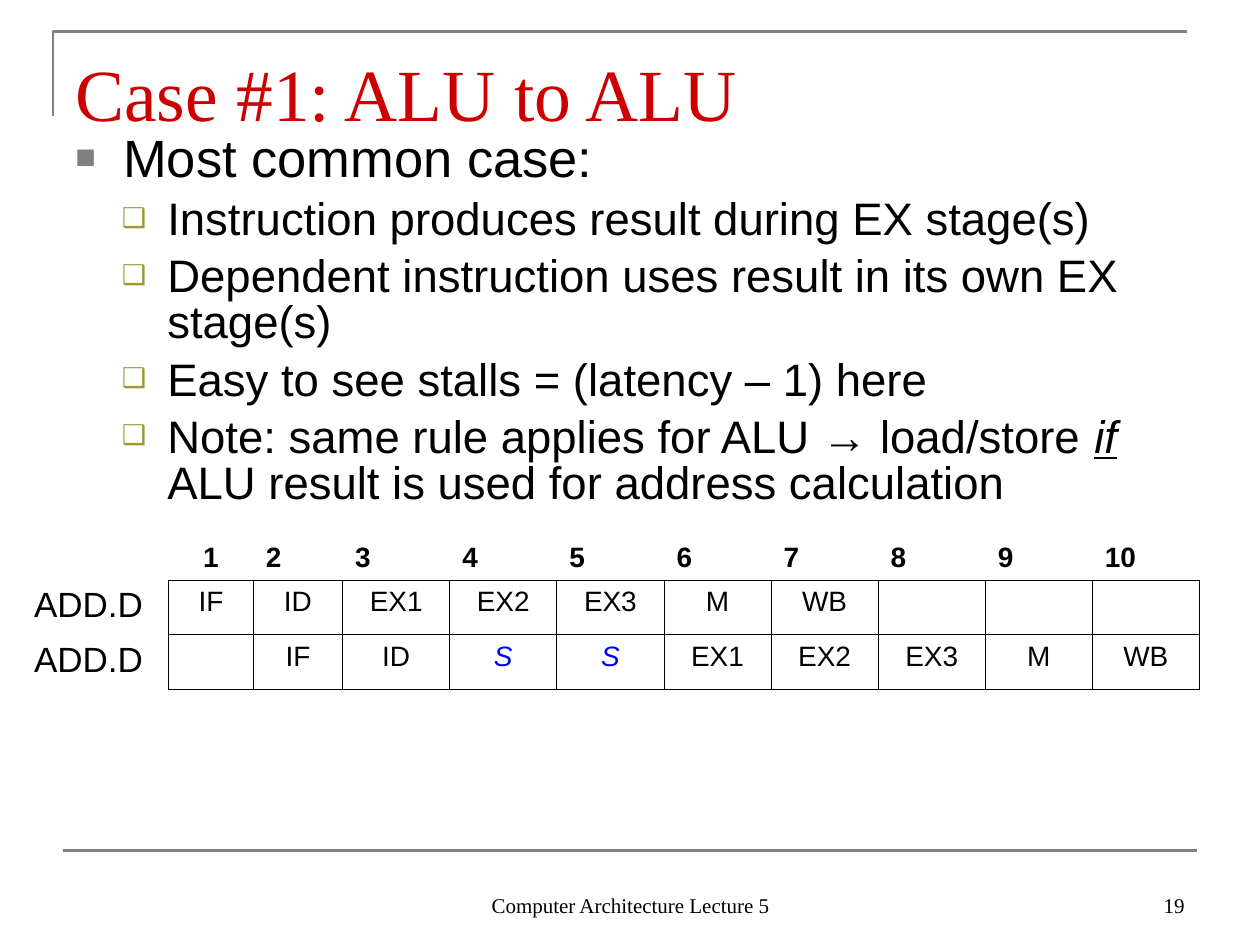
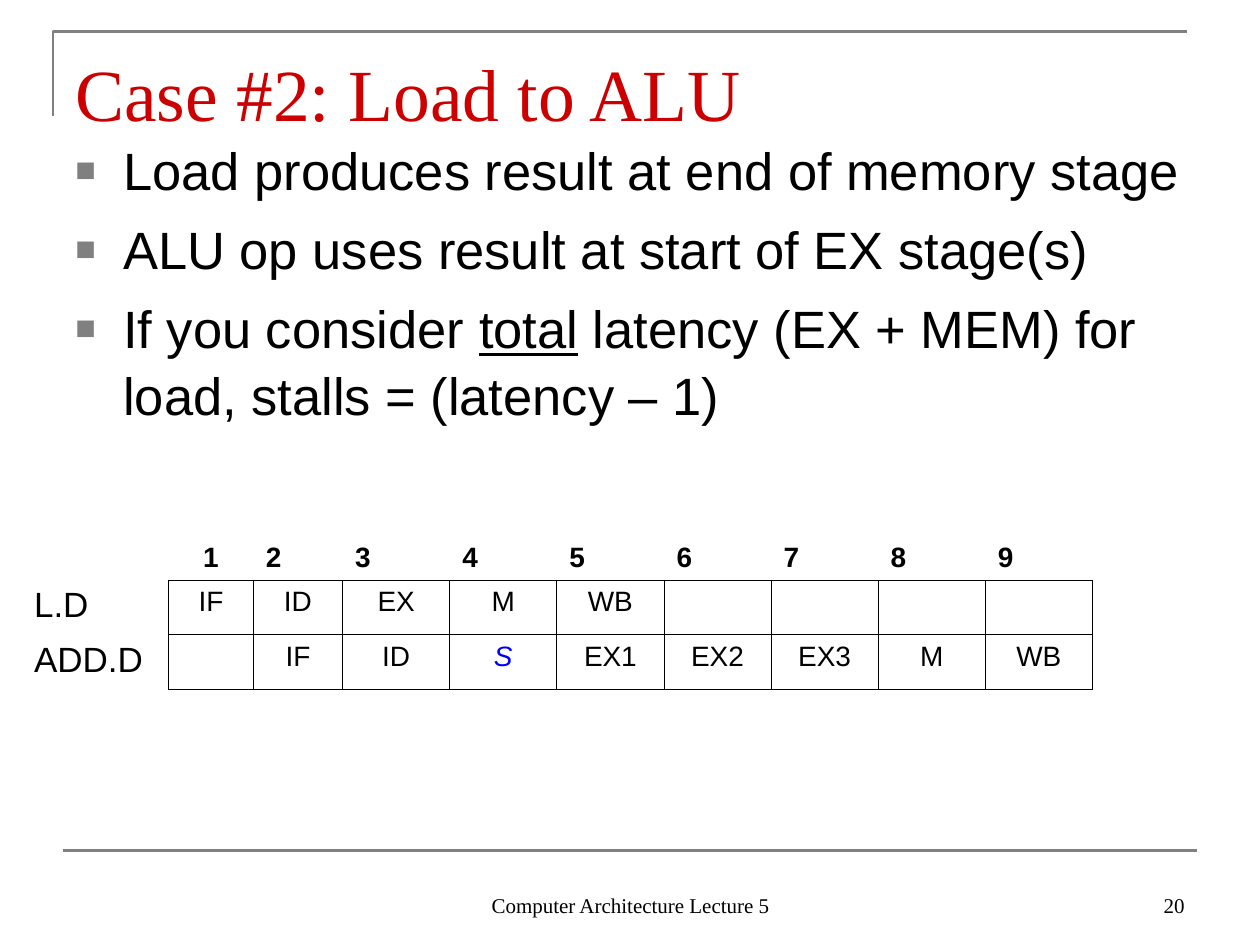
from lxml import etree
from pptx import Presentation
from pptx import util as u
from pptx.dml.color import RGBColor
from pptx.enum import shapes, text
from pptx.oxml import ns

Inches, Pt = u.Inches, u.Pt
SANS, SERIF = "Arial", "Times New Roman"
BLACK, WHITE, GRAY, RED, OLIVE, BLUE = (
    "000000", "FFFFFF", "808080", "CC0000", "999933", "0000FF")
# level: (size, left indent, hanging indent, space before, bullet, colour, bullet %)
LEVELS = [(30, 0.38, 0.38, 7.5, "■", GRAY, 65),
          (26, 0.73, 0.36, 6.5, "❑", OLIVE, 60)]
LEFT, CENTER, RIGHT = text.PP_ALIGN.LEFT, text.PP_ALIGN.CENTER, text.PP_ALIGN.RIGHT
TOP, BOTTOM = text.MSO_ANCHOR.TOP, text.MSO_ANCHOR.BOTTOM


def rgb(value):
    return RGBColor.from_string(value)


def add_xml(parent, tag, **attrs):
    return etree.SubElement(parent, ns.qn(tag), attrs)


class Deck:
    """Holds the presentation, its style and the current slide."""

    def __init__(self):
        self.prs = Presentation()
        self.prs.slide_width, self.prs.slide_height = Inches(10), Inches(7.5)
        self.s = None

    def new_slide(self, title, number):
        self.s = self.prs.slides.add_slide(self.prs.slide_layouts[6])
        self.frame()
        tf = self.box(0.5, 0.3, 9, 0.78, BOTTOM)
        tf.margin_bottom = 0
        self.run(tf.paragraphs[0], title, 42, SERIF, RED)
        self.footer(3.42, 3.17, "Computer Architecture Lecture 5", CENTER)
        self.footer(7.17, 2.33, str(number), RIGHT)

    def frame(self):
        """Corner rule around the title and the line above the footer."""
        fb = self.s.shapes.build_freeform(Inches(0.42), Inches(0.92))
        fb.add_line_segments([(Inches(0.42), Inches(0.25)),
                              (Inches(9.42), Inches(0.25))], close=False)
        corner = fb.convert_to_shape()
        corner.shadow.inherit = False
        corner.fill.background()
        rule = self.s.shapes.add_connector(
            shapes.MSO_CONNECTOR.STRAIGHT,
            Inches(0.5), Inches(6.75), Inches(9.5), Inches(6.75))
        add_xml(rule._element.spPr, "a:effectLst")
        for sp in (corner, rule):
            sp.line.color.rgb = rgb(GRAY)
            sp.line.width = Pt(1.5)

    def box(self, x, y, w, h, anchor=TOP):
        sp = self.s.shapes.add_textbox(Inches(x), Inches(y), Inches(w), Inches(h))
        tf = sp.text_frame
        tf.word_wrap = True
        tf.vertical_anchor = anchor
        return tf

    def run(self, p, words, size, font=SANS, color=BLACK,
            bold=False, italic=False, underline=False):
        r = p.add_run()
        r.text = words
        f = r.font
        f.size, f.name, f.color.rgb = Pt(size), font, rgb(color)
        f.bold, f.italic, f.underline = bold, italic, underline

    def footer(self, x, w, words, align):
        p = self.box(x, 6.83, w, 0.5, BOTTOM).paragraphs[0]
        p.alignment = align
        self.run(p, words, 12, SERIF)

    def body(self, items, spacing):
        """Items are (level, runs); a run is (words, font options)."""
        tf = self.box(0.5, 1, 9, 3.25)
        tf.margin_top = Inches(0.07)
        for i, (level, runs) in enumerate(items):
            size, left, hang, before, bullet, color, percent = LEVELS[level]
            p = tf.add_paragraph() if i else tf.paragraphs[0]
            p.level = level
            p.line_spacing = spacing
            p.space_before = Pt(before)
            pPr = p._p.get_or_add_pPr()
            pPr.set("marL", str(Inches(left)))
            pPr.set("indent", str(-Inches(hang)))
            add_xml(add_xml(pPr, "a:buClr"), "a:srgbClr", val=color)
            add_xml(pPr, "a:buSzPct", val=str(percent * 1000))
            add_xml(pPr, "a:buFont", typeface=SANS)
            add_xml(pPr, "a:buChar", char=bullet)
            for words, options in runs:
                self.run(p, words, size, **options)

    def borders(self, cell, row, col):
        """Black grid around the stages, white around cycle numbers and names."""
        colors = {side: WHITE if row == 0 or col == 0 else BLACK for side in "LRTB"}
        if row == 0 and col > 0:
            colors["B"] = BLACK
        if row > 0 and col == 0:
            colors["R"] = BLACK
        tcPr = cell._tc.get_or_add_tcPr()
        for i, (side, color) in enumerate(colors.items()):
            ln = etree.Element(ns.qn(f"a:ln{side}"), w=str(Pt(0.45)))
            add_xml(add_xml(ln, "a:solidFill"), "a:srgbClr", val=color)
            tcPr.insert(i, ln)

    def pipeline(self, cycles, instructions):
        """Instructions are (name, first cycle, stages parted by spaces)."""
        widths = [1.17, 0.67, 0.71] + [0.85] * (cycles - 2)
        rows = [[""] + [str(c + 1) for c in range(cycles)]]
        for name, first, stages in instructions:
            row = [name] + [""] * (first - 1) + stages.split()
            rows.append(row + [""] * (cycles + 1 - len(row)))
        table = self.s.shapes.add_table(
            len(rows), len(widths), Inches(0.17), Inches(4.17),
            Inches(sum(widths)), Inches(1.3)).table
        table.first_row = table.horz_banding = False
        for column, width in zip(table.columns, widths):
            column.width = Inches(width)
        for i, row in enumerate(rows):
            for j, words in enumerate(row):
                cell = table.cell(i, j)
                cell.fill.background()
                self.borders(cell, i, j)
                if not words:
                    continue
                header, name, stall = i == 0, j == 0, words == "S"
                cell.vertical_anchor = BOTTOM if header else TOP
                p = cell.text_frame.paragraphs[0]
                p.alignment = LEFT if name or (header and j > 1) else CENTER
                p.space_before = Pt(5 if name else 4)
                self.run(p, words, 20 if name else 16, bold=header, italic=stall,
                         color=BLUE if stall else BLACK)


def main():
    deck = Deck()

    deck.new_slide("Case #1: ALU to ALU", 19)
    deck.body([
        (0, [("Most common case:", {})]),
        (1, [("Instruction produces result during EX stage(s)", {})]),
        (1, [("Dependent instruction uses result in its own EX stage(s)", {})]),
        (1, [("Easy to see stalls = (latency – 1) here", {})]),
        (1, [("Note: same rule applies for ALU → load/store ", {}),
             ("if", {"italic": True, "underline": True}),
             (" ALU result is used for address calculation", {})]),
    ], spacing=0.84)
    deck.pipeline(10, [("ADD.D", 1, "IF ID EX1 EX2 EX3 M WB"),
                       ("ADD.D", 2, "IF ID S S EX1 EX2 EX3 M WB")])

    deck.new_slide("Case #2: Load to ALU", 20)
    deck.body([
        (0, [("Load produces result at end of memory stage", {})]),
        (0, [("ALU op uses result at start of EX stage(s)", {})]),
        (0, [("If you consider ", {}),
             ("total", {"underline": True}),
             (" latency (EX + MEM) for load, stalls = (latency – 1)", {})]),
    ], spacing=1.05)
    deck.pipeline(9, [("L.D", 1, "IF ID EX M WB"),
                      ("ADD.D", 2, "IF ID S EX1 EX2 EX3 M WB")])

    deck.prs.save("out.pptx")


if __name__ == "__main__":
    main()
